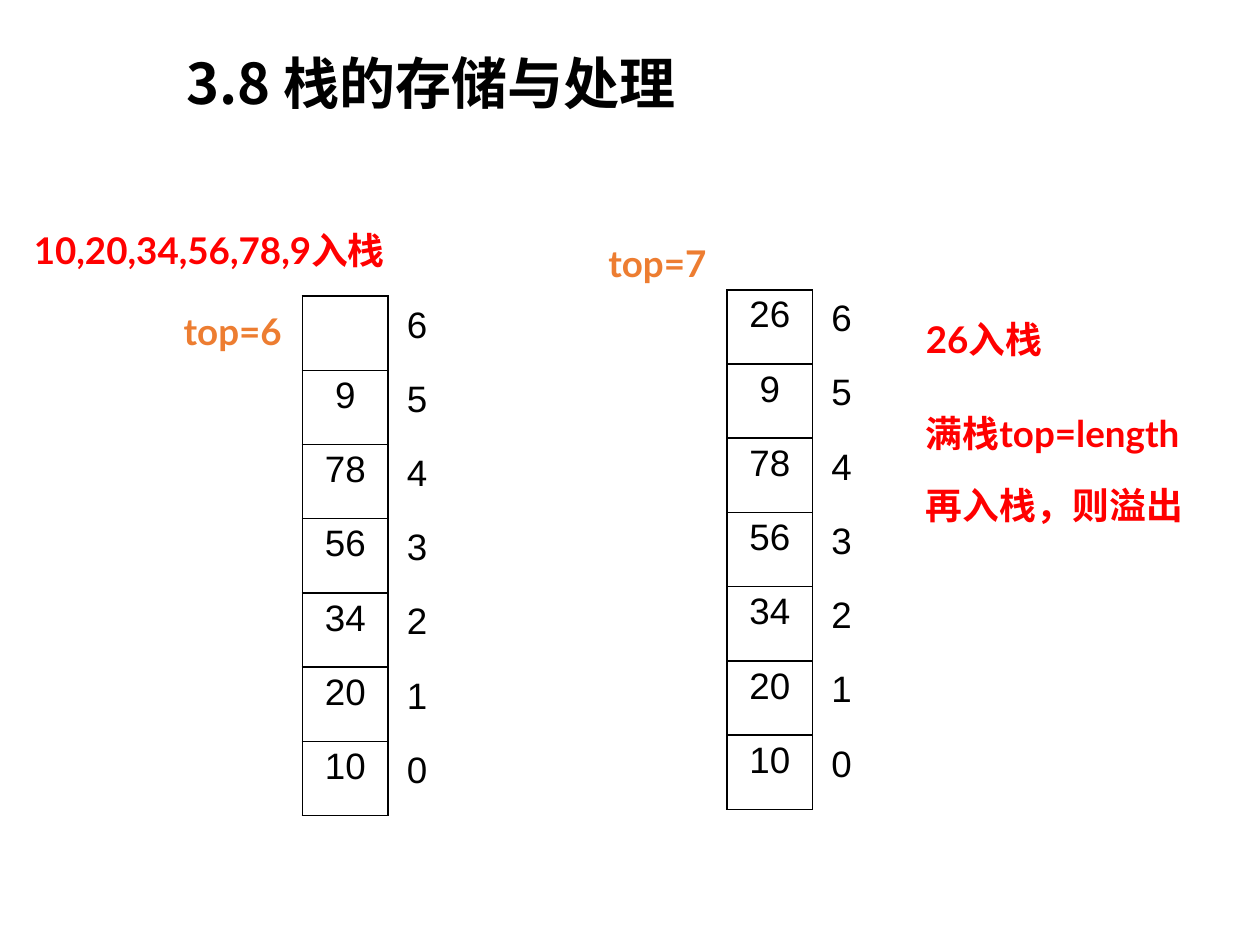
import pptx
import pptx.util
import pptx.dml.color
import pptx.enum.text
import pptx.oxml.ns
from lxml import etree

BLACK = pptx.dml.color.RGBColor(0x00, 0x00, 0x00)
RED = pptx.dml.color.RGBColor(0xFF, 0x00, 0x00)
ORANGE = pptx.dml.color.RGBColor(0xED, 0x7D, 0x31)
CJK = "Noto Sans CJK SC"
UNIT = pptx.util.Inches(0.1)
CELL_H = 5.89
CENTER = pptx.enum.text.PP_ALIGN.CENTER
qn = pptx.oxml.ns.qn


def grid(*cells):
    return [round(c * UNIT) for c in cells]


def style_text(p, size, font, color, bold=False, align=None, spacing=None):
    p.alignment = align
    p.line_spacing = spacing
    for r in p.runs:
        r.font.size = pptx.util.Pt(size)
        r.font.name = font
        r.font.bold = bold
        r.font.color.rgb = color
        etree.SubElement(r.font._element, qn("a:ea"), typeface=CJK)


def add_title(s, box, text):
    sp = s.shapes.title
    sp.left, sp.top, sp.width, sp.height = grid(*box)
    tf = sp.text_frame
    tf.text = text
    tf.word_wrap = False
    tf.auto_size = pptx.enum.text.MSO_AUTO_SIZE.NONE
    tf.vertical_anchor = pptx.enum.text.MSO_ANCHOR.MIDDLE
    style_text(tf.paragraphs[0], 32, CJK, BLACK, True, CENTER)


def add_label(s, box, text, color, spacing=None):
    tf = s.shapes.add_textbox(*grid(*box)).text_frame
    tf.text = text
    tf.word_wrap = True
    style_text(tf.paragraphs[0], 21, "Lato", color, True, spacing=spacing)


def add_borders(cell):
    tc_pr = cell._tc.get_or_add_tcPr()
    for i, side in enumerate(("lnL", "lnR", "lnT", "lnB")):
        ln = etree.Element(qn(f"a:{side}"), w=str(pptx.util.Pt(1)))
        fill = etree.SubElement(ln, qn("a:solidFill"))
        etree.SubElement(fill, qn("a:srgbClr"), val=str(BLACK))
        tc_pr.insert(i, ln)


def add_column(s, left, top, width, values, bordered=False):
    box = grid(left, top, width, CELL_H * len(values))
    table = s.shapes.add_table(len(values), 1, *box).table
    table.first_row = table.horz_banding = False
    for row, value in zip(table.rows, values):
        row.height = round(CELL_H * UNIT)
        cell = row.cells[0]
        cell.margin_left = cell.margin_right = pptx.util.Inches(0.07)
        cell.margin_top = cell.margin_bottom = pptx.util.Inches(0.04)
        cell.fill.background()
        cell.text = value
        style_text(cell.text_frame.paragraphs[0], 21, "Arial", BLACK, align=CENTER)
        if bordered:
            add_borders(cell)


def add_stack(s, left, top, values, pointer, pointer_dy):
    add_column(s, left, top, 6.8, values, bordered=True)
    indices = [str(i) for i in reversed(range(len(values)))]
    add_column(s, left + 7.25, top + 0.3, 3.7, indices)
    add_label(s, (left - 10.4, top + pointer_dy, 10.7, 4.5), pointer, ORANGE)


def add_notes_column(s, left, notes):
    for top, width, height, text in notes:
        add_label(s, (left, top, width, height), text, RED, 1.5)


def main():
    prs = pptx.Presentation()
    prs.slide_width, prs.slide_height = grid(100, 75)
    s = prs.slides.add_slide(prs.slide_layouts[5])
    pushed = ["9", "78", "56", "34", "20", "10"]

    add_title(s, (12.9, 3.3, 42.6, 6.4), "3.8 栈的存储与处理")
    add_label(s, (1.7, 15.8, 34.4, 6.3), "10,20,34,56,78,9入栈", RED, 1.5)
    add_stack(s, 24, 23.5, [""] + pushed, "top=6", 0.5)
    add_stack(s, 57.7, 23, ["26"] + pushed, "top=7", -4.4)
    add_notes_column(s, 72.5, [
        (22.9, 14.8, 6.3, "26入栈"),
        (30.4, 27.5, 5.7, "满栈top=length"),
        (36.1, 25, 6.3, "再入栈，则溢出"),
    ])
    prs.save("out.pptx")


if __name__ == "__main__":
    main()
